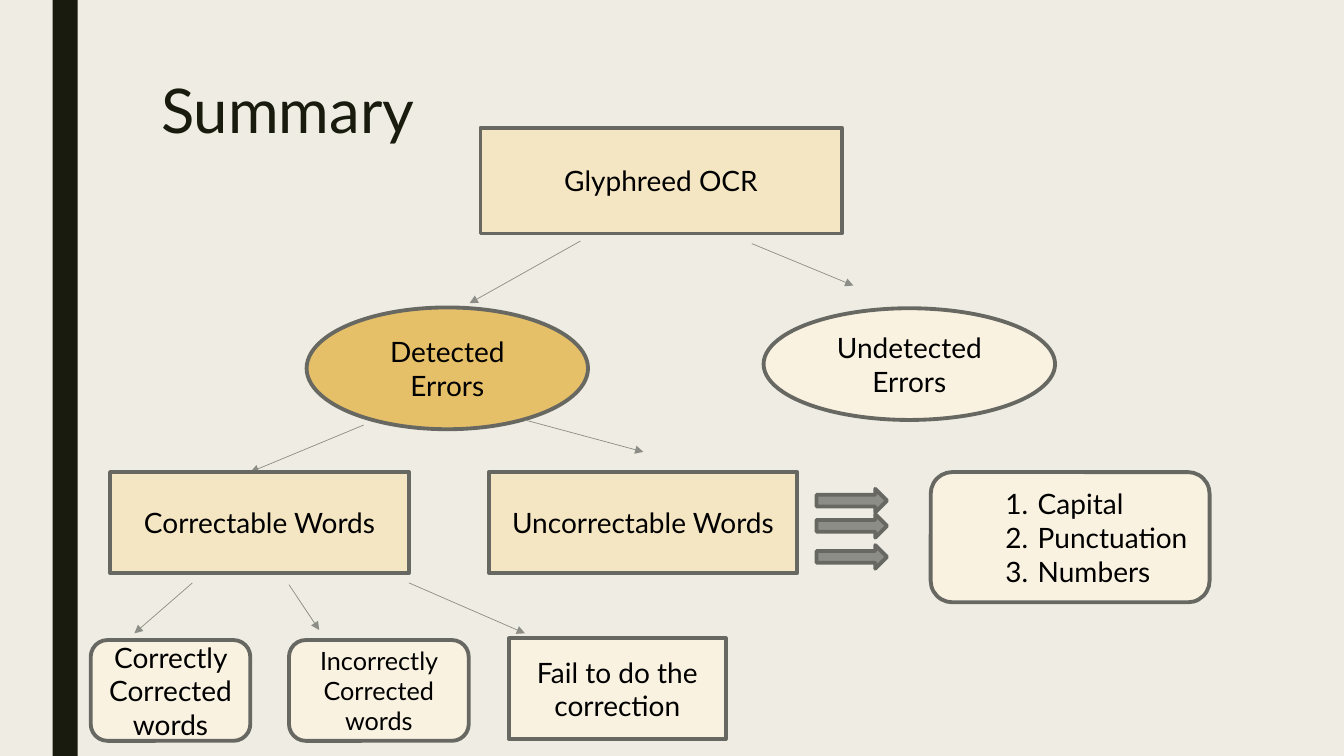
import pptx
import pptx.util
import pptx.dml.color
import pptx.enum.shapes
import pptx.enum.text
import pptx.oxml.ns
import lxml.etree

RGB = pptx.dml.color.RGBColor
SHAPE = pptx.enum.shapes.MSO_SHAPE
ALIGN = pptx.enum.text.PP_ALIGN
ANCHOR = pptx.enum.text.MSO_ANCHOR
qn = pptx.oxml.ns.qn

PAPER = RGB(0xEF, 0xED, 0xE3)
INK = RGB(0x19, 0x1B, 0x0E)
BLACK = RGB(0, 0, 0)
OUTLINE = RGB(0x68, 0x68, 0x63)
GREY = RGB(0x8C, 0x8D, 0x86)
GOLD = RGB(0xE6, 0xC0, 0x69)
SAND = RGB(0xF5, 0xE6, 0xC3)
CREAM = RGB(0xFA, 0xF2, 0xE1)

deck = pptx.Presentation()
deck.slide_width = pptx.util.Inches(13.33)
deck.slide_height = pptx.util.Inches(7.5)
slide = deck.slides.add_slide(deck.slide_layouts[6])
slide.background.fill.solid()
slide.background.fill.fore_color.rgb = PAPER

# Grid of 160 columns by 90 rows; a box is (left, top) in grid cells
COLUMN = deck.slide_width / 160
ROW = deck.slide_height / 90


def spot(box, column, row):
    return round((box[0] + column) * COLUMN), round((box[1] + row) * ROW)


def area(box, column, row, columns, rows):
    return *spot(box, column, row), round(columns * COLUMN), round(rows * ROW)


def write(frame, text, size=20, color=BLACK, align=ALIGN.CENTER,
          anchor=ANCHOR.MIDDLE, spacing=None, numbered=False):
    frame.word_wrap = True
    frame.vertical_anchor = anchor
    frame.text = text
    for paragraph in frame.paragraphs:
        paragraph.alignment = align
        paragraph.line_spacing = spacing
        font = paragraph.runs[0].font
        font.name, font.size = "Lato", pptx.util.Pt(size)
        font.color.rgb = color
        if numbered:
            props = paragraph._p.get_or_add_pPr()
            props.set("marL", str(pptx.util.Inches(0.9)))
            props.set("indent", str(pptx.util.Inches(-0.32)))
            lxml.etree.SubElement(props, qn("a:buFont"), typeface="+mj-lt")
            lxml.etree.SubElement(props, qn("a:buAutoNum"), type="arabicPeriod")


def node(place, kind, fill, text=None, outlined=True, **style):
    shape = slide.shapes.add_shape(kind, *place)
    shape.shadow.inherit = False
    shape.fill.solid()
    shape.fill.fore_color.rgb = fill
    if outlined:
        shape.line.color.rgb = OUTLINE
        shape.line.width = pptx.util.Pt(2.75)
    else:
        shape.line.fill.background()
    if text:
        write(shape.text_frame, text, **style)


def branches(box, ends):
    for start, end in ends:
        branch = slide.shapes.add_connector(
            pptx.enum.shapes.MSO_CONNECTOR.STRAIGHT,
            *spot(box, *start), *spot(box, *end))
        branch.line.color.rgb = GREY
        branch.line.width = pptx.util.Pt(0.5)
        lxml.etree.SubElement(branch.line._get_or_add_ln(), qn("a:tailEnd"),
                              type="triangle")
        lxml.etree.SubElement(branch._element.spPr, qn("a:effectLst"))


# Side bar and title
def heading(box):
    node(area(box, 6.25, 0, 3, 90), SHAPE.RECTANGLE, INK, outlined=False)
    title = slide.shapes.add_textbox(*area(box, 18, 9, 126, 9.5))
    write(title.text_frame, "Summary", size=44, color=INK, align=ALIGN.LEFT,
          anchor=ANCHOR.TOP, spacing=0.89)


# Source of the text and its two kinds of errors
def detection(box):
    node(area(box, 21.2, 0.2, 43, 12.6), SHAPE.RECTANGLE, SAND, "Glyphreed OCR")
    branches(box, [((33.1, 13.7), (19.9, 21.1)), ((53.5, 14), (65.6, 19))])
    node(area(box, 0.5, 21.6, 33.5, 14.5), SHAPE.OVAL, GOLD, "Detected Errors")
    node(area(box, 54.9, 21.7, 34.7, 13.3), SHAPE.OVAL, CREAM, "Undetected Errors")


# Detected errors by whether they can be corrected
def correction(box):
    branches(box, [((30.3, 0.6), (16.8, 6.2)), ((49.5, 0), (63.6, 3.8))])
    node(area(box, 0.1, 6.2, 35.6, 12), SHAPE.RECTANGLE, SAND, "Correctable Words")
    node(area(box, 45.2, 6.2, 36.7, 12), SHAPE.RECTANGLE, SAND, "Uncorrectable Words")


# Outcomes for correctable words
def outcomes(box):
    branches(box, [((12.9, 0.4), (6, 6.4)), ((24.4, 0.6), (28, 6)),
                   ((38.7, 0.4), (52.5, 6.4))])
    node(area(box, 0.8, 7.2, 19, 12), SHAPE.ROUNDED_RECTANGLE, CREAM,
         "Correctly Corrected words")
    node(area(box, 24.4, 7.2, 21.4, 12), SHAPE.ROUNDED_RECTANGLE, CREAM,
         "Incorrectly Corrected words", size=18)
    node(area(box, 50.6, 7, 25.8, 12), SHAPE.RECTANGLE, CREAM,
         "Fail to do the correction")


# Kinds of uncorrectable words
def causes(box):
    for row in (2.2, 5.2, 8.9):
        node(area(box, 0.2, row, 8.4, 2.8), SHAPE.RIGHT_ARROW, GREY)
    node(area(box, 13.8, 0.2, 33.2, 15.5), SHAPE.ROUNDED_RECTANGLE, CREAM,
         "Capital\nPunctuation\nNumbers", align=ALIGN.LEFT, numbered=True)


heading((0, 0))
detection((36, 15))
correction((13, 50))
outcomes((10, 69))
causes((97, 56))
deck.save("out.pptx")
